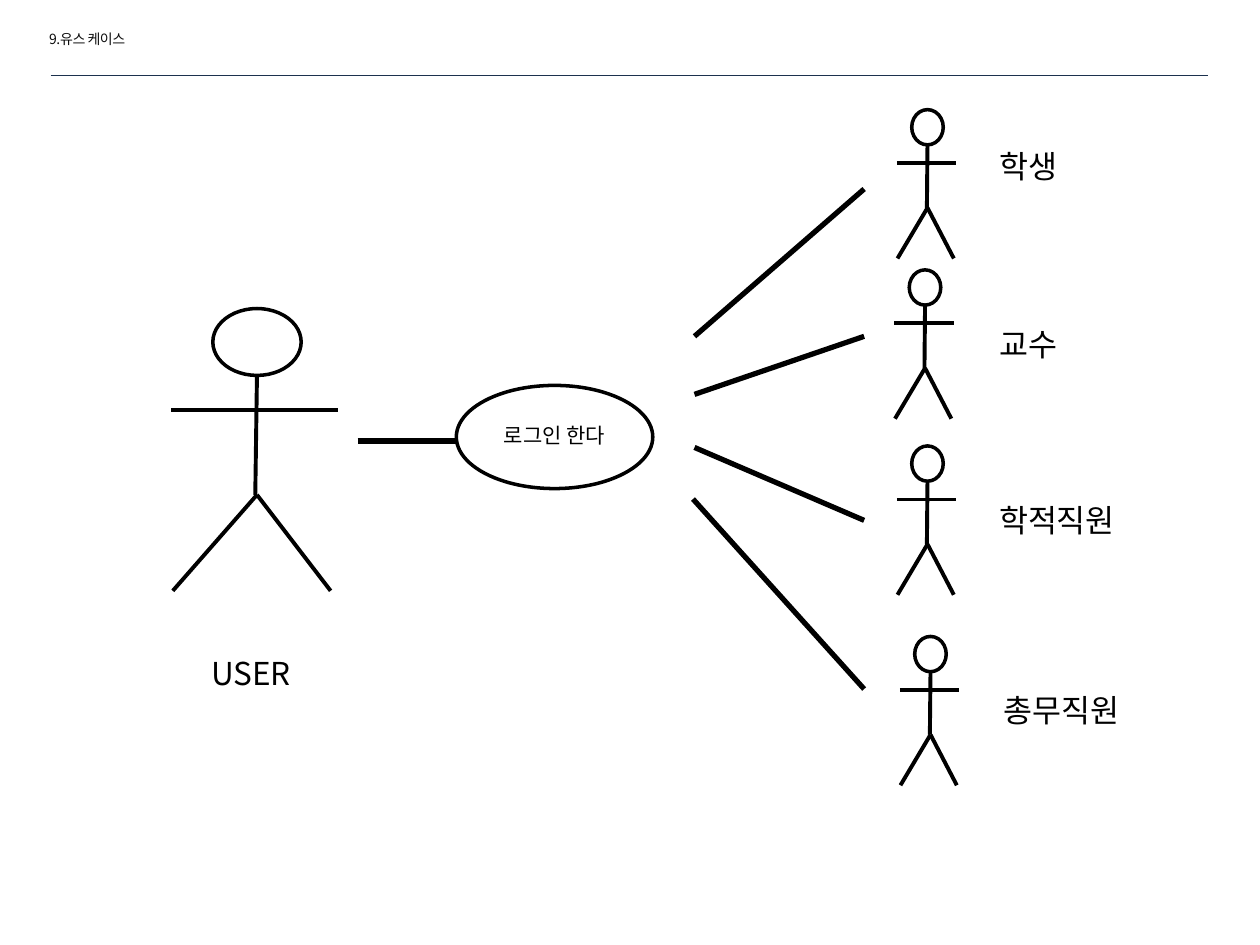
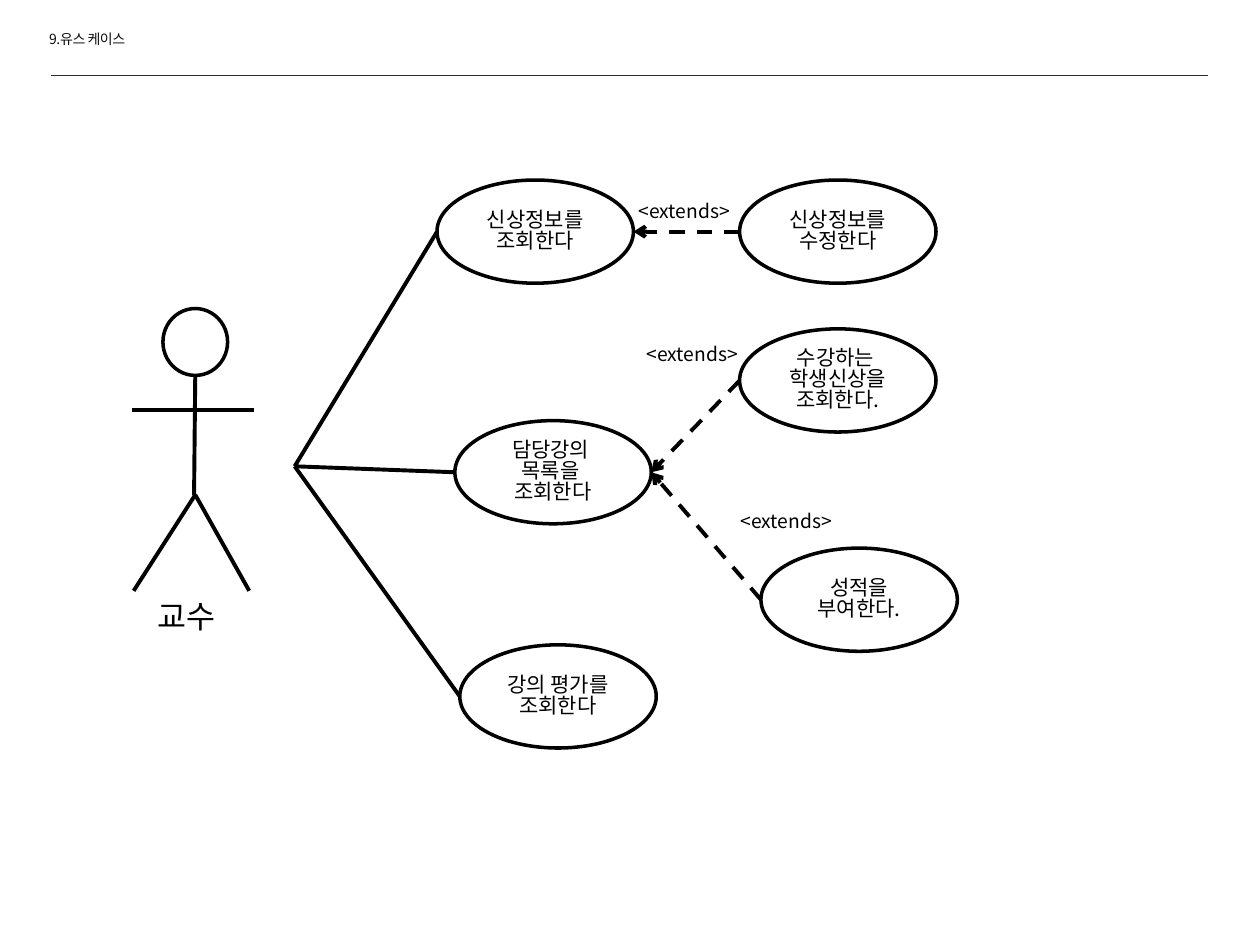
"""Builds two use case diagrams: the login case and the professor's cases."""
from lxml import etree
from pptx import Presentation
from pptx.dml.color import RGBColor
from pptx.enum import dml, shapes, text
from pptx.oxml import ns
from pptx.util import Cm, Pt

FONT = "Noto Sans CJK KR"
BLACK, TITLE_INK, NAVY = "000000", "0D0D0D", "1C314E"
CASE_W, CASE_H = 3.96, 2.08


def draw_line(slide, start, end, weight=2.25, color=BLACK, extends=False):
    """Draw a straight line, dashed with an arrow for an extends relation."""
    line = slide.shapes.add_connector(
        shapes.MSO_CONNECTOR.STRAIGHT, *[Cm(v) for v in (*start, *end)])
    line.line.width = Pt(weight)
    line.line.color.rgb = RGBColor.from_string(color)
    if extends:
        line.line.dash_style = dml.MSO_LINE.DASH
        etree.SubElement(line.line._get_or_add_ln(), ns.qn("a:tailEnd"), type="arrow")
    etree.SubElement(line._element.spPr, ns.qn("a:effectLst"))


def write(shape, wording, size, color=BLACK, align=text.PP_ALIGN.LEFT, spacing=0):
    """Fill a shape with evenly styled paragraphs."""
    frame = shape.text_frame
    frame.word_wrap = True
    frame.text = wording
    for paragraph in frame.paragraphs:
        paragraph.alignment = align
        paragraph.line_spacing = 0.83
        paragraph.font.size = Pt(size)
        paragraph.font.name = FONT
        paragraph.font.color.rgb = RGBColor.from_string(color)
        style = paragraph._p.pPr.find(ns.qn("a:defRPr"))
        etree.SubElement(style, ns.qn("a:ea"), typeface=FONT)
        if spacing:
            style.set("spc", str(spacing))


deck = Presentation()
deck.slide_width, deck.slide_height = Cm(25.4), Cm(19.05)
login, professor = [deck.slides.add_slide(deck.slide_layouts[6]) for _ in range(2)]

for slide in (login, professor):
    title = slide.shapes.add_textbox(Cm(0.74), Cm(0.55), Cm(4.4), Cm(0.6))
    write(title, "9.유스 케이스", 8, TITLE_INK, spacing=-30)
    draw_line(slide, (1.02, 1.52), (24.36, 1.52), 0.25, NAVY)

actors = [
    (login, 3.45, 6.22, 3.36, 5.69),
    (login, 18.08, 2.21, 1.2, 3),
    (login, 18.03, 5.44, 1.2, 3),
    (login, 18.08, 8.99, 1.2, 3),
    (login, 18.14, 12.83, 1.2, 3),
    (professor, 2.67, 6.22, 2.46, 5.69),
]
for slide, left, top, width, height in actors:
    center = left + 0.515 * width
    neck, arms, hip, feet = [top + part * height for part in (0.237, 0.36, 0.66, 1)]
    head = slide.shapes.add_shape(
        shapes.MSO_SHAPE.OVAL, Cm(left + 0.25 * width), Cm(top),
        Cm(0.53 * width), Cm(neck - top))
    head.shadow.inherit = False
    head.fill.solid()
    head.fill.fore_color.rgb = RGBColor.from_string("FFFFFF")
    head.line.color.rgb = RGBColor.from_string(BLACK)
    head.line.width = Pt(2)
    draw_line(slide, (left, arms), (left + width, arms))
    draw_line(slide, (center, neck), (center - 0.01 * width, hip))
    for foot in (0.01, 0.957):
        draw_line(slide, (center, hip), (left + foot * width, feet))

labels = [
    (login, "학생", 18, 19.89, 2.97),
    (login, "교수", 18, 19.89, 6.55),
    (login, "학적직원", 18, 19.89, 10.11),
    (login, "총무직원", 18, 19.99, 13.94),
    (login, "USER", 18, 4.01, 13.18),
    (professor, "교수", 18, 2.92, 12.04),
    (professor, "<extends>", 11, 12.62, 3.97),
    (professor, "<extends>", 11, 12.78, 6.86),
    (professor, "<extends>", 11, 14.68, 10.22),
]
for slide, wording, size, left, top in labels:
    label = slide.shapes.add_textbox(Cm(left), Cm(top), Cm(3.3), Cm(0.055 * size))
    write(label, wording, size)

cases = {
    "log in": (login, "로그인 한다", 9.2, 7.77),
    "edit profile": (professor, "신상정보를 수정한다", 14.91, 3.63),
    "view profile": (professor, "신상정보를 조회한다", 8.81, 3.63),
    "view courses": (professor, "담당강의 \v목록을 \v조회한다", 9.17, 8.48),
    "view students": (professor, "수강하는 \v학생신상을\n조회한다.", 14.91, 6.63),
    "view reviews": (professor, "강의 평가를\v조회한다", 9.27, 13),
    "give grades": (professor, "성적을\n부여한다.", 15.34, 11.05),
}
left_end, right_end = {}, {}
for key, (slide, wording, left, top) in cases.items():
    case = slide.shapes.add_shape(
        shapes.MSO_SHAPE.OVAL, Cm(left), Cm(top), Cm(CASE_W), Cm(CASE_H))
    case.shadow.inherit = False
    case.fill.background()
    case.line.color.rgb = RGBColor.from_string(BLACK)
    case.line.width = Pt(2)
    case.text_frame.vertical_anchor = text.MSO_ANCHOR.MIDDLE
    write(case, wording, 12, align=text.PP_ALIGN.CENTER)
    left_end[key] = (left, top + CASE_H / 2)
    right_end[key] = (left + CASE_W, top + CASE_H / 2)

draw_line(login, (7.21, 8.89), (9.2, 8.89), 3)
for start, end in [
    ((14, 6.78), (17.42, 3.81)),
    ((14, 7.95), (17.42, 6.78)),
    ((14, 9.02), (17.42, 10.49)),
    ((13.97, 10.06), (17.42, 13.89)),
]:
    draw_line(login, start, end, 3)

for key in ("view profile", "view courses", "view reviews"):
    draw_line(professor, (5.94, 9.4), left_end[key])
for extension, base in [
    ("edit profile", "view profile"),
    ("view students", "view courses"),
    ("give grades", "view courses"),
]:
    draw_line(professor, left_end[extension], right_end[base], extends=True)

deck.save("out.pptx")
